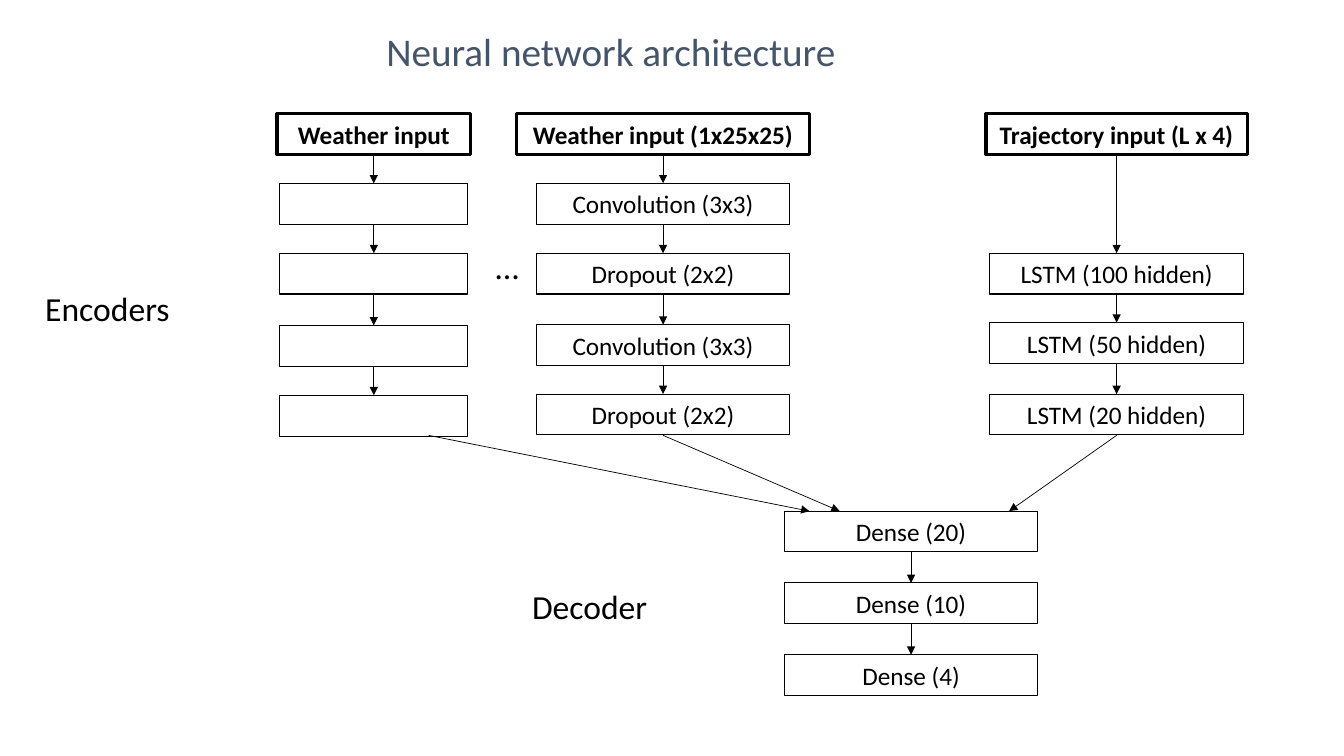
from itertools import pairwise

from lxml import etree
from pptx import Presentation
from pptx.dml.color import RGBColor
from pptx.enum import shapes as sh, text as tx
from pptx.oxml import ns
from pptx.util import Cm, Pt

BLACK = RGBColor(0x00, 0x00, 0x00)
SLATE = RGBColor(0x44, 0x54, 0x6A)
FONT = "Calibri"

HIGH = 1.03        # height of every box
HEAD = 2.87        # top of the input boxes
WIDE = 6.39        # width of a layer box
SLIM = 4.74        # width of an unnamed layer box
DENSE = 12.88      # top of the first decoder layer

# Middle of each column
LEFT, CONV, LSTM, DEC = 9.42, 16.71, 28.14, 22.96


def write(shape, words, size, color=BLACK, bold=False,
          align=tx.PP_ALIGN.LEFT, wrap=True):
    frame = shape.text_frame
    frame.word_wrap = wrap
    frame.auto_size = tx.MSO_AUTO_SIZE.SHAPE_TO_FIT_TEXT
    para = frame.paragraphs[0]
    para.alignment = align
    run = para.add_run()
    run.text = words
    font = run.font
    font.name, font.size, font.bold = FONT, Pt(size), bold
    font.color.rgb = color


def box(slide, mid, top, width, words="", head=False):
    """Draw an outlined box centred on mid; head makes it a bold input."""
    rect = slide.shapes.add_shape(
        sh.MSO_SHAPE.RECTANGLE,
        Cm(mid - width / 2), Cm(top), Cm(width), Cm(HIGH))
    rect.shadow.inherit = False
    rect.fill.background()
    rect.line.color.rgb = BLACK
    rect.line.width = Pt(2.25 if head else 0.75)
    if words:
        write(rect, words, 18, bold=head, align=tx.PP_ALIGN.CENTER)


def arrow(slide, x1, y1, x2, y2):
    link = slide.shapes.add_connector(
        sh.MSO_CONNECTOR.STRAIGHT, Cm(x1), Cm(y1), Cm(x2), Cm(y2))
    link.line.color.rgb = BLACK
    link.line.width = Pt(0.5)
    tail = etree.SubElement(link.line._get_or_add_ln(), ns.qn("a:tailEnd"))
    tail.set("type", "triangle")
    etree.SubElement(link._element.spPr, ns.qn("a:effectLst"))


def stack(slide, mid, width, layers):
    """Draw (top, words) layers from top to bottom, joined by arrows."""
    for top, words in layers:
        box(slide, mid, top, width, words)
    for (top, _), (below, _) in pairwise(layers):
        arrow(slide, mid, top + HIGH, mid, below)


def branch(slide, mid, head, span, width, layers):
    """Draw an encoder: its input box, then its layers."""
    box(slide, mid, HEAD, span, head, head=True)
    arrow(slide, mid, HEAD + HIGH, mid, layers[0][0])
    stack(slide, mid, width, layers)


def label(slide, left, top, width, height, words, size, **style):
    area = slide.shapes.add_textbox(Cm(left), Cm(top), Cm(width), Cm(height))
    write(area, words, size, **style)


def main():
    deck = Presentation()
    deck.slide_width, deck.slide_height = Cm(33.87), Cm(19.05)
    slide = deck.slides.add_slide(deck.slide_layouts[6])

    label(slide, 9.3, 0.56, 12.19, 1.45, "Neural network architecture", 28,
          color=SLATE, align=tx.PP_ALIGN.CENTER, wrap=False)
    for left, top, words in ((0.89, 7.14, "Encoders"),
                             (13.16, 14.63, "Decoder"),
                             (12.24, 6.07, "…")):
        label(slide, left, top, 4.01, 1.27, words, 24)

    branch(slide, LEFT, "Weather input", 4.88, SLIM,
           [(top, "") for top in (4.62, 6.38, 8.2, 9.96)])
    branch(slide, CONV, "Weather input (1x25x25)", 7.39, WIDE,
           [(4.62, "Convolution (3x3)"), (6.38, "Dropout (2x2)"),
            (8.18, "Convolution (3x3)"), (9.93, "Dropout (2x2)")])
    branch(slide, LSTM, "Trajectory input (L x 4)", 6.58, WIDE,
           [(6.38, "LSTM (100 hidden)"), (8.13, "LSTM (50 hidden)"),
            (9.93, "LSTM (20 hidden)")])
    stack(slide, DEC, WIDE,
          [(DENSE + 1.81 * i, f"Dense ({size})")
           for i, size in enumerate((20, 10, 4))])

    for start, end in ((10.8, 20.4), (CONV, 21.16), (LSTM, 25.43)):
        arrow(slide, start, 10.97, end, DENSE)

    deck.save("out.pptx")


if __name__ == "__main__":
    main()
